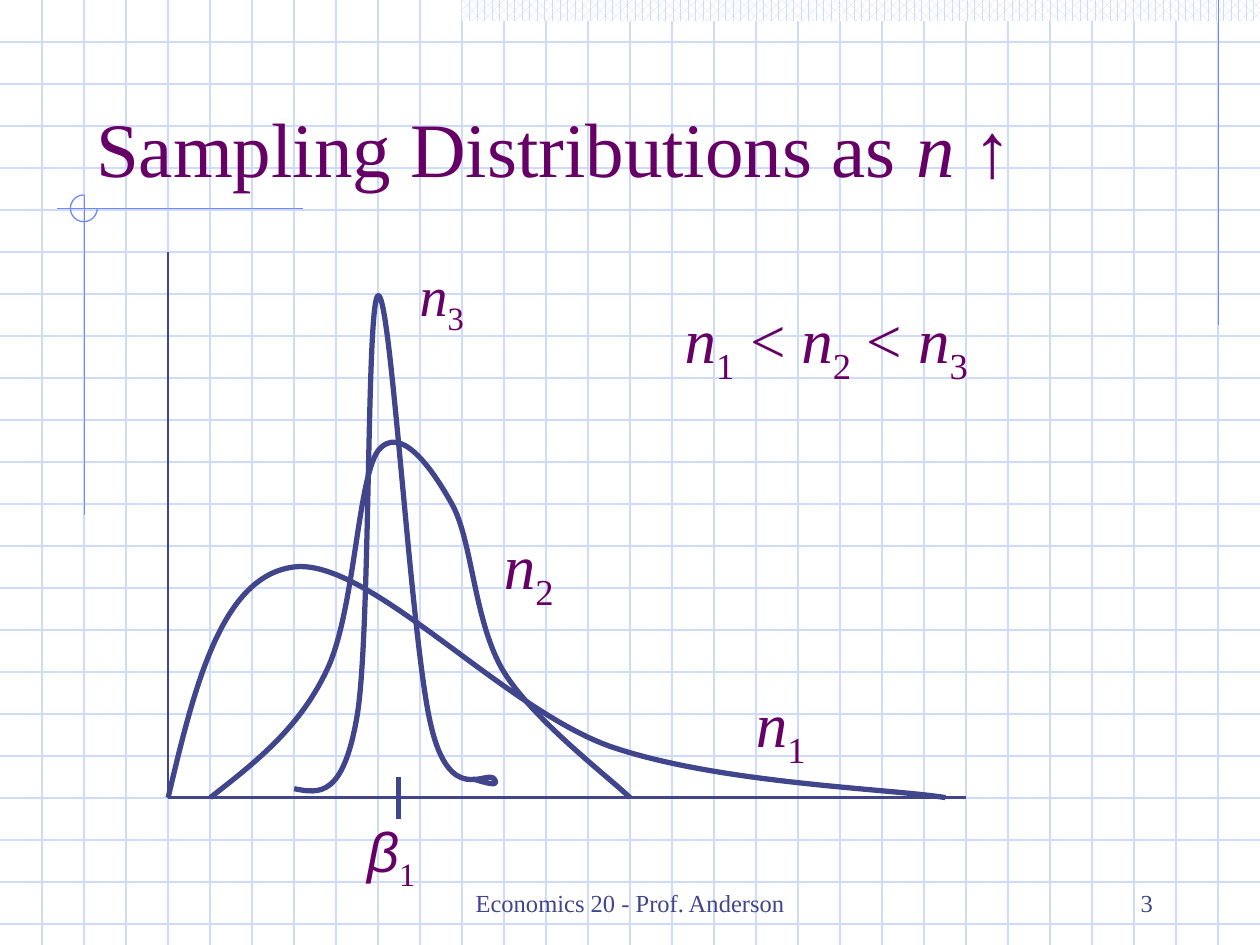
from dataclasses import dataclass

from lxml.etree import SubElement
from pptx import Presentation
from pptx.dml.color import RGBColor
from pptx.enum.dml import MSO_PATTERN_TYPE as Pattern
from pptx.enum.shapes import MSO_CONNECTOR as Connector, MSO_SHAPE as Shape
from pptx.enum.text import MSO_ANCHOR as Anchor, MSO_AUTO_SIZE as AutoSize, PP_ALIGN as Align
from pptx.oxml.ns import qn
from pptx.util import Cm, Pt


@dataclass(frozen=True)
class Theme:
    ink = RGBColor(0x40, 0x45, 0x8C)
    text = RGBColor(0x66, 0x00, 0x66)
    rule = RGBColor(0x6F, 0x89, 0xF7)
    pale = RGBColor(0xCF, 0xDB, 0xFD)
    white = RGBColor(0xFF, 0xFF, 0xFF)
    serif = "Times New Roman"
    sans = "Arial"
    title, large, label, small = 44, 36, 32, 14
    hairline, axis, curve = 0.75, 1.5, 3


@dataclass(frozen=True)
class Box:
    left: float
    top: float
    width: float
    height: float

    def inner(self, x, y, width, height):
        return Box(self.left + x, self.top + y, width, height)

    def point(self, x, y):
        return Cm(self.left + x), Cm(self.top + y)

    def lengths(self):
        return [Cm(v) for v in (self.left, self.top, self.width, self.height)]


THEME = Theme()
GRID = 2.54 / 3  # spacing of the background grid

# Each curve: start point, then control, control, end for each segment (cm in the plot)
CURVES = {
    "n1": [(0, 11), (0.53, 8.76), (1.07, 6.53), (2.54, 6.35),
           (4.03, 6.17), (6.71, 9.17), (8.89, 9.96),
           (11.07, 10.72), (14.58, 10.82), (15.67, 11)],
    "n2": [(0.85, 11), (1.73, 10.31), (2.62, 9.63), (3.18, 8.47),
           (3.76, 7.32), (3.81, 4.6), (4.23, 4.01),
           (4.67, 3.45), (5.31, 4.34), (5.72, 5.08),
           (6.14, 5.82), (6.16, 7.47), (6.77, 8.47),
           (7.38, 9.45), (8.89, 10.59), (9.31, 11)],
    "n3": [(2.54, 10.82), (3.05, 10.92), (3.53, 11), (3.81, 9.35),
           (4.09, 7.7), (3.99, 0.84), (4.24, 0.88),
           (4.5, 0.91), (4.9, 7.92), (5.3, 9.55),
           (5.68, 11.18), (6.42, 10.44), (6.57, 10.62),
           (6.7, 10.79), (6.42, 10.71), (6.14, 10.62)],
}


def apply(target, values):
    for name, value in values.items():
        setattr(target, name, value)


def stroke(shape, color, weight):
    shape.line.color.rgb = color
    shape.line.width = Pt(weight)


def add_line(page, box, start, end, color, weight):
    line = page.shapes.add_connector(Connector.STRAIGHT, *box.point(*start), *box.point(*end))
    stroke(line, color, weight)
    SubElement(line._element.spPr, qn("a:effectLst"))


def add_text(page, box, spans, size, color=THEME.text, align=Align.LEFT, **frame_format):
    """Write spans given as (text, format) pairs; a format may hold a baseline."""
    frame = page.shapes.add_textbox(*box.lengths()).text_frame
    apply(frame, {"word_wrap": True, **frame_format})
    para = frame.paragraphs[0]
    para.alignment = align
    for text, span_format in spans:
        span = para.add_run()
        span.text = text
        font_format = dict(span_format)
        baseline = font_format.pop("baseline", None)
        apply(span.font, {"name": THEME.serif, "size": Pt(size), "italic": False, **font_format})
        span.font.color.rgb = color
        if baseline:
            span._r.get_or_add_rPr().set("baseline", str(baseline))


def symbol(letter, index, font=THEME.serif):
    return [(letter, {"italic": True, "name": font}), (index, {"baseline": -25000})]


def add_curve(page, box, points):
    start, *rest = [box.point(*point) for point in points]
    builder = page.shapes.build_freeform(*start)
    builder.add_line_segments(rest, close=False)
    curve = builder.convert_to_shape()
    curve.shadow.inherit = False
    curve.fill.background()
    stroke(curve, THEME.ink, THEME.curve)

    # Turn every three straight steps into one cubic segment
    outline = next(curve._element.iter(qn("a:path")))
    steps = outline.findall(qn("a:lnTo"))
    for first in range(0, len(steps), 3):
        cubic = SubElement(outline, qn("a:cubicBezTo"))
        for step in steps[first:first + 3]:
            cubic.append(step[0])
            outline.remove(step)


def add_backdrop(page, box):
    # Pale grid
    for row in range(1, 23):
        add_line(page, box, (0, row * GRID), (box.width, row * GRID), THEME.pale, THEME.hairline)
    for column in range(1, 30):
        add_line(page, box, (column * GRID, 0), (column * GRID, box.height),
                 THEME.pale, THEME.hairline)

    # Patterned band along the top right
    band = page.shapes.add_shape(Shape.RECTANGLE, *box.inner(9.31, 0, 16.09, 0.43).lengths())
    band.shadow.inherit = False
    band.line.fill.background()
    band.fill.patterned()
    band.fill.pattern = Pattern.PERCENT_60
    band.fill.fore_color.rgb = THEME.pale
    band.fill.back_color.rgb = THEME.white

    # Thin rules at the right edge and around the title's corner
    for start, end in (((24.56, 0), (24.56, 6.56)),
                       ((6.1, 4.21), (1.14, 4.21)),
                       ((1.7, 3.93), (1.7, 10.39))):
        add_line(page, box, start, end, THEME.rule, THEME.hairline)

    # Three-quarter ring where the rules cross; angles are in units of 0.6 per degree
    ring = page.shapes.add_shape(Shape.ARC, *box.inner(1.42, 3.93, 0.54, 0.54).lengths())
    ring.shadow.inherit = False
    ring.fill.background()
    stroke(ring, THEME.rule, THEME.hairline)
    ring.adjustments[0] = 0
    ring.adjustments[1] = 270 * 0.6


def add_title(page, box):
    spans = [("Sampling Distributions as ", {}), ("n ", {"italic": True}), ("↑", {})]
    add_text(page, box, spans, THEME.title, vertical_anchor=Anchor.BOTTOM)


def add_plot(page, box):
    # Axes
    origin = (0, box.height)
    add_line(page, box, (0, 0), origin, THEME.ink, THEME.axis)
    add_line(page, box, origin, (box.width, box.height), THEME.ink, THEME.axis)

    # Distributions, with a tick at the true value
    for points in CURVES.values():
        add_curve(page, box, points)
    add_line(page, box, (4.65, box.height - 0.42), (4.65, box.height + 0.42),
             THEME.ink, THEME.curve)

    # Labels
    less = [(" < ", {})]
    order = symbol("n", "1") + less + symbol("n", "2") + less + symbol("n", "3")
    labels = (
        ((3.76, 11.25, 1.5, 1.6), symbol("β", "1", THEME.sans), THEME.label),
        ((11.6, 8.59, 1.57, 1.78), symbol("n", "1"), THEME.large),
        ((6.52, 5.41, 1.57, 1.78), symbol("n", "2"), THEME.large),
        ((4.82, 0.05, 1.45, 1.6), symbol("n", "3"), THEME.label),
        ((10.16, 0.85, 6.38, 1.78), order, THEME.large),
    )
    for place, spans, size in labels:
        add_text(page, box.inner(*place), spans, size,
                 word_wrap=False, auto_size=AutoSize.SHAPE_TO_FIT_TEXT)


def add_footer(page, box):
    for x, width, text, align in ((0, 8.05, "Economics 20 - Prof. Anderson", Align.CENTER),
                                  (9.52, 5.29, "3", Align.RIGHT)):
        add_text(page, box.inner(x, 0, width, box.height), [(text, {})], THEME.small,
                 THEME.ink, align, vertical_anchor=Anchor.BOTTOM)


def main():
    deck = Presentation()
    apply(deck, {"slide_width": Cm(25.4), "slide_height": Cm(19.05)})
    page = deck.slides.add_slide(deck.slide_layouts[6])
    add_backdrop(page, Box(0, 0, 25.4, 19.05))
    add_footer(page, Box(8.68, 17.34, 14.81, 1.27))
    add_title(page, Box(1.69, 0.85, 21.59, 3.17))
    add_plot(page, Box(3.39, 5.08, 16.09, 11))
    deck.save("out.pptx")


if __name__ == "__main__":
    main()
